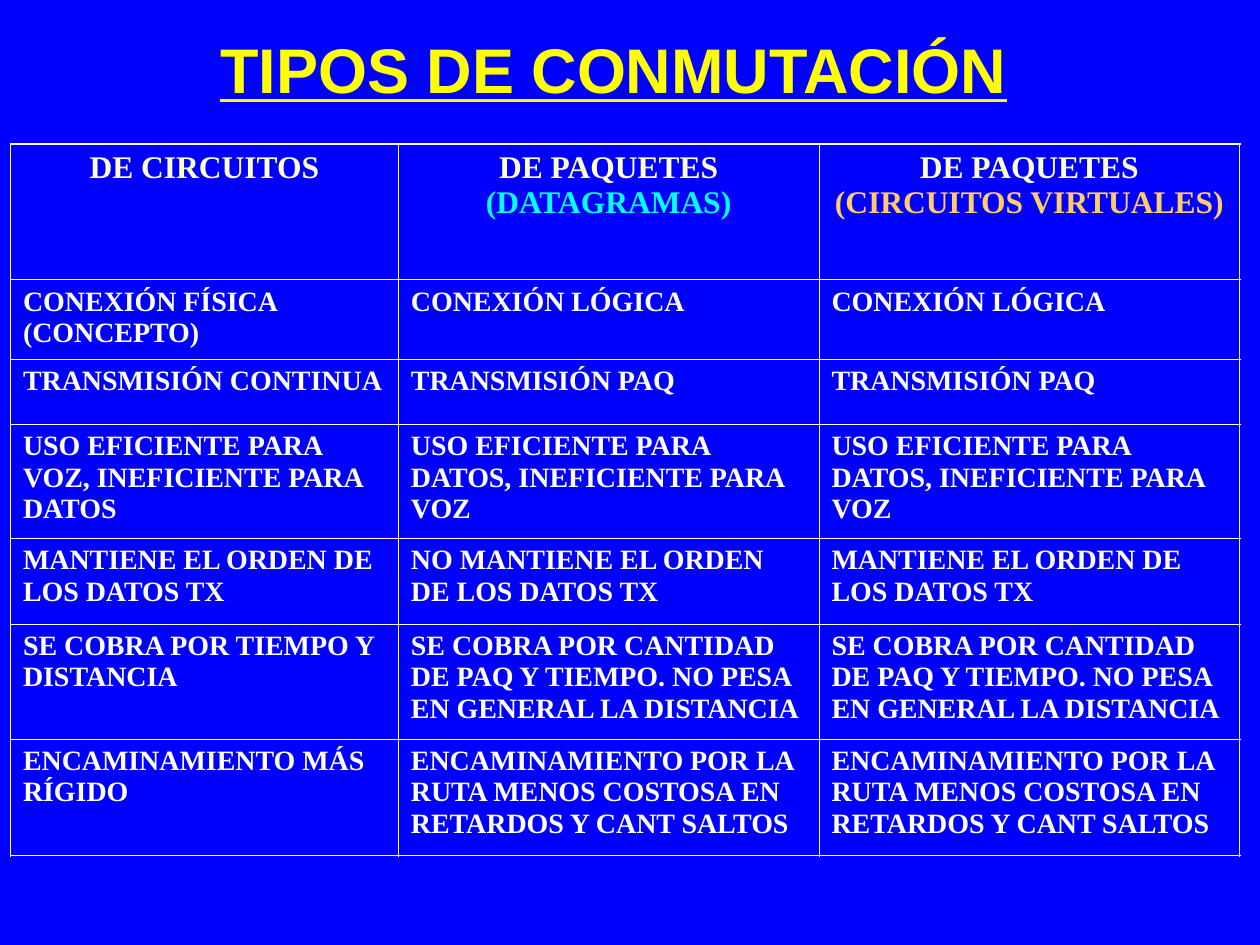
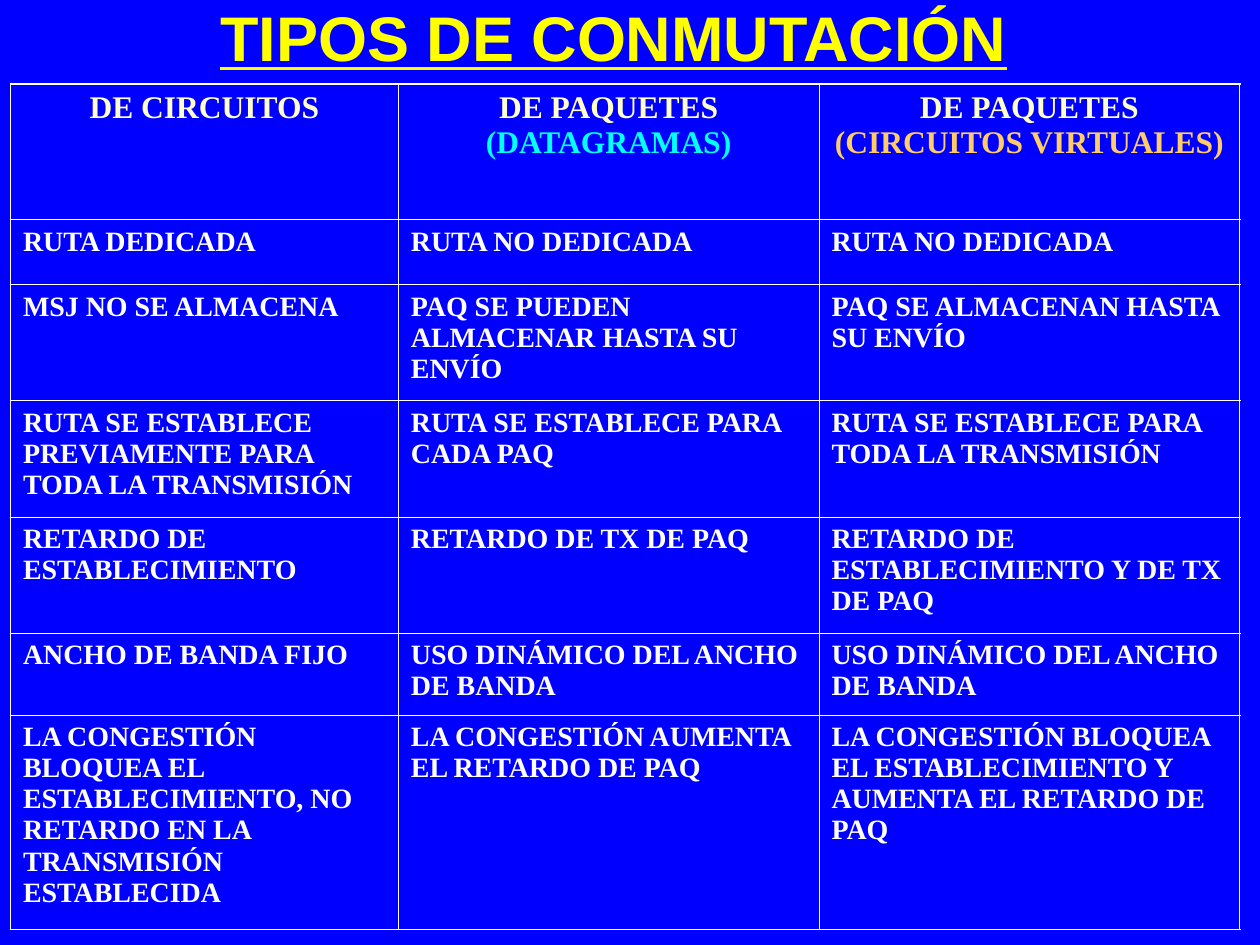
from lxml import etree
from pptx import Presentation
from pptx.dml.color import RGBColor
from pptx.enum.text import MSO_ANCHOR, MSO_AUTO_SIZE, PP_ALIGN
from pptx.oxml.ns import qn
from pptx.util import Cm, Pt

CENTER = PP_ALIGN.CENTER
LEFT = PP_ALIGN.LEFT
MIDDLE = MSO_ANCHOR.MIDDLE
NO_AUTOFIT = MSO_AUTO_SIZE.NONE

BLUE = RGBColor(0x00, 0x00, 0xFF)
YELLOW = RGBColor(0xFF, 0xFF, 0x00)
WHITE = RGBColor(0xFF, 0xFF, 0xFF)
CREAM = RGBColor(0xFF, 0xFF, 0xCC)
CYAN = RGBColor(0x00, 0xFF, 0xFF)
ORANGE = RGBColor(0xFF, 0xCC, 0x66)

TITLE_FONT = "Arial"
TABLE_FONT = "Times New Roman"
TITLE_ONLY_LAYOUT = 5
OUTER_LINE = Pt(1.08)
INNER_LINE = Pt(0.45)

TITLE = "TIPOS DE CONMUTACIÓN"
COLUMN_WIDTHS = (7.82, 8.48, 8.48)

# Each heading is a list of (text, colour) runs
HEADINGS = (
    [("DE CIRCUITOS", CREAM)],
    [("DE PAQUETES ", CREAM), ("(DATAGRAMAS)", CYAN)],
    [("DE PAQUETES ", CREAM), ("(CIRCUITOS VIRTUALES)", ORANGE)],
)
HEADING_HEIGHT = 2.74

# Each row is its height in cm and its three texts
CONNECTION_ROWS = (
    (1.61, ("CONEXIÓN FÍSICA (CONCEPTO)", "CONEXIÓN LÓGICA", "CONEXIÓN LÓGICA")),
    (1.31, ("TRANSMISIÓN CONTINUA", "TRANSMISIÓN PAQ", "TRANSMISIÓN PAQ")),
    (2.3, ("USO EFICIENTE PARA VOZ, INEFICIENTE PARA DATOS",
           "USO EFICIENTE PARA DATOS, INEFICIENTE PARA VOZ",
           "USO EFICIENTE PARA DATOS, INEFICIENTE PARA VOZ")),
    (1.73, ("MANTIENE EL ORDEN DE LOS DATOS TX",
            "NO MANTIENE EL ORDEN DE LOS DATOS TX",
            "MANTIENE EL ORDEN DE LOS DATOS TX")),
    (2.32, ("SE COBRA POR TIEMPO Y DISTANCIA",
            "SE COBRA POR CANTIDAD DE PAQ Y TIEMPO. NO PESA EN GENERAL LA DISTANCIA",
            "SE COBRA POR CANTIDAD DE PAQ Y TIEMPO. NO PESA EN GENERAL LA DISTANCIA")),
    (2.34, ("ENCAMINAMIENTO MÁS RÍGIDO",
            "ENCAMINAMIENTO POR LA RUTA MENOS COSTOSA EN RETARDOS Y CANT SALTOS",
            "ENCAMINAMIENTO POR LA RUTA MENOS COSTOSA EN RETARDOS Y CANT SALTOS")),
)
ROUTE_ROWS = (
    (1.31, ("RUTA DEDICADA", "RUTA NO DEDICADA", "RUTA NO DEDICADA")),
    (2.34, ("MSJ NO SE ALMACENA",
            "PAQ SE PUEDEN ALMACENAR HASTA SU ENVÍO",
            "PAQ SE ALMACENAN HASTA SU ENVÍO")),
    (2.34, ("RUTA SE ESTABLECE PREVIAMENTE PARA TODA LA TRANSMISIÓN",
            "RUTA SE ESTABLECE PARA CADA PAQ",
            "RUTA SE ESTABLECE PARA TODA LA TRANSMISIÓN")),
    (2.35, ("RETARDO DE ESTABLECIMIENTO",
            "RETARDO DE TX DE PAQ",
            "RETARDO DE ESTABLECIMIENTO Y DE TX DE PAQ")),
    (1.65, ("ANCHO DE BANDA FIJO",
            "USO DINÁMICO DEL ANCHO DE BANDA",
            "USO DINÁMICO DEL ANCHO DE BANDA")),
    (4.32, ("LA CONGESTIÓN BLOQUEA EL ESTABLECIMIENTO, NO RETARDO EN LA "
            "TRANSMISIÓN ESTABLECIDA",
            "LA CONGESTIÓN AUMENTA EL RETARDO DE PAQ",
            "LA CONGESTIÓN BLOQUEA EL ESTABLECIMIENTO Y AUMENTA EL RETARDO DE PAQ")),
)


class Deck:
    """Holds the shared style and the current slide."""

    def __init__(self):
        self.presentation = Presentation()
        self.presentation.slide_width = Cm(25.4)
        self.presentation.slide_height = Cm(19.05)
        background = self.presentation.slide_master.background.fill
        background.solid()
        background.fore_color.rgb = BLUE
        self.slide = None

    def add_slide(self):
        layout = self.presentation.slide_layouts[TITLE_ONLY_LAYOUT]
        self.slide = self.presentation.slides.add_slide(layout)

    def add_title(self, text, top):
        title = self.slide.shapes.title
        title.left, title.top = Cm(3.38), Cm(top)
        title.width, title.height = Cm(17.98), Cm(1.47)
        frame = title.text_frame
        frame.text = text
        frame.auto_size = NO_AUTOFIT
        frame.vertical_anchor = MIDDLE
        paragraph = frame.paragraphs[0]
        paragraph.alignment = CENTER
        self.set_font(paragraph.font, TITLE_FONT, 36)
        paragraph.font.underline = True
        paragraph.font.color.rgb = YELLOW

    def add_comparison(self, body_rows, top):
        heights = [HEADING_HEIGHT] + [height for height, _ in body_rows]
        frame = self.slide.shapes.add_table(
            len(heights), len(COLUMN_WIDTHS), Cm(0.21), Cm(top),
            Cm(sum(COLUMN_WIDTHS)), Cm(sum(heights)))
        table = frame.table
        table.first_row = table.horz_banding = False
        for column, width in zip(table.columns, COLUMN_WIDTHS):
            column.width = Cm(width)
        for row, height in zip(table.rows, heights):
            row.height = Cm(height)

        # Headings, then the rows below them
        for column, runs in enumerate(HEADINGS):
            self.fill_cell(table, 0, column, runs, 18, CENTER)
        for row, (_, texts) in enumerate(body_rows, start=1):
            for column, text in enumerate(texts):
                self.fill_cell(table, row, column, [(text, WHITE)], 16, LEFT)

    def fill_cell(self, table, row, column, runs, size, alignment):
        cell = table.cell(row, column)
        self.set_borders(cell, {
            "a:lnL": column == 0,
            "a:lnR": column == len(table.columns) - 1,
            "a:lnT": row == 0,
            "a:lnB": row == len(table.rows) - 1,
        })
        cell.fill.background()
        paragraph = cell.text_frame.paragraphs[0]
        paragraph.alignment = alignment
        self.set_font(paragraph.font, TABLE_FONT, size)
        for text, color in runs:
            run = paragraph.add_run()
            run.text = text
            run.font.color.rgb = color

    @staticmethod
    def set_font(font, name, size):
        font.name = name
        font.size = Pt(size)
        font.bold = True

    @staticmethod
    def set_borders(cell, outer_sides):
        properties = cell._tc.get_or_add_tcPr()
        for tag, is_outer in outer_sides.items():
            width = OUTER_LINE if is_outer else INNER_LINE
            line = etree.SubElement(properties, qn(tag), w=str(width))
            fill = etree.SubElement(line, qn("a:solidFill"))
            etree.SubElement(fill, qn("a:srgbClr"), val=str(WHITE))


def main():
    deck = Deck()
    # Title top, table top (cm) and rows of each slide
    for title_top, table_top, rows in (
        (0.64, 2.9, CONNECTION_ROWS),
        (0, 1.69, ROUTE_ROWS),
    ):
        deck.add_slide()
        deck.add_title(TITLE, title_top)
        deck.add_comparison(rows, table_top)
    deck.presentation.save("out.pptx")


if __name__ == "__main__":
    main()
